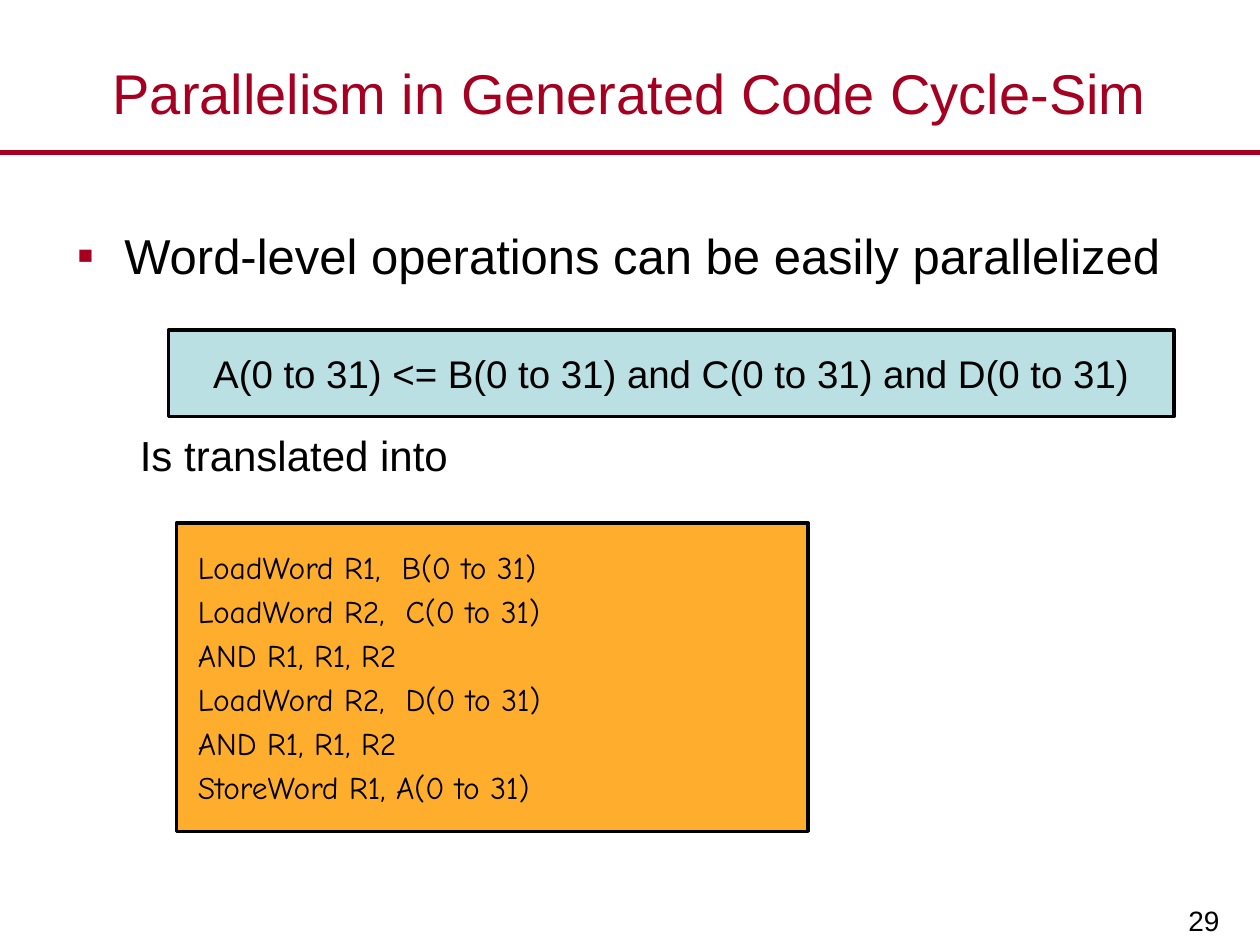
from lxml import etree
from pptx import Presentation
from pptx.dml.color import RGBColor
from pptx.enum.shapes import MSO_CONNECTOR, MSO_SHAPE
from pptx.enum.text import MSO_ANCHOR, PP_ALIGN
from pptx.oxml.ns import qn
from pptx.util import Cm, Pt

RECTANGLE = MSO_SHAPE.RECTANGLE
STRAIGHT = MSO_CONNECTOR.STRAIGHT
TOP, MIDDLE, BOTTOM = MSO_ANCHOR.TOP, MSO_ANCHOR.MIDDLE, MSO_ANCHOR.BOTTOM
LEFT, CENTER, RIGHT = PP_ALIGN.LEFT, PP_ALIGN.CENTER, PP_ALIGN.RIGHT

SLIDE_WIDTH, SLIDE_HEIGHT = 25.4, 19.05
RED, BLACK, BLUE, ORANGE = "A50021", "000000", "BBE0E3", "FFAD2C"

INSTRUCTIONS = [
    "LoadWord R1,  B(0 to 31)",
    "LoadWord R2,  C(0 to 31)",
    "AND R1, R1, R2",
    "LoadWord R2,  D(0 to 31)",
    "AND R1, R1, R2",
    "StoreWord R1, A(0 to 31)",
]


def color(hex_string):
    return RGBColor.from_string(hex_string)


def write(frame, lines, size, font="Arial", ink=BLACK, align=LEFT, anchor=TOP,
          insets=(0, 0, 0, 0), after=0, wrap=True):
    """Fill a text frame, one paragraph a line; insets are left, top, right, bottom in cm."""
    frame.word_wrap = wrap
    frame.vertical_anchor = anchor
    (frame.margin_left, frame.margin_top,
     frame.margin_right, frame.margin_bottom) = map(Cm, insets)
    for index, line in enumerate(lines):
        paragraph = frame.add_paragraph() if index else frame.paragraphs[0]
        paragraph.alignment = align
        paragraph.space_after = Pt(after)
        run = paragraph.add_run()
        run.text = line
        run.font.name = font
        run.font.size = Pt(size)
        run.font.color.rgb = color(ink)


class SlideBuilder:
    def __init__(self, slide, accent=RED, outline=BLACK):
        self.shapes = slide.shapes
        self.accent = accent
        self.outline = outline

    def text(self, place, *lines, **text_format):
        box = self.shapes.add_textbox(*map(Cm, place))
        write(box.text_frame, lines, **text_format)
        return box

    def bullet(self, place, line, indent, **text_format):
        box = self.text(place, line, **text_format)
        properties = box.text_frame.paragraphs[0]._p.get_or_add_pPr()
        properties.set("marL", str(Cm(indent)))
        properties.set("indent", str(-Cm(indent)))
        bullet_color = etree.SubElement(properties, qn("a:buClr"))
        etree.SubElement(bullet_color, qn("a:srgbClr"), val=self.accent)
        etree.SubElement(properties, qn("a:buFont"), typeface="Arial")
        etree.SubElement(properties, qn("a:buChar"), char="▪")

    def panel(self, place, fill, *lines, **text_format):
        box = self.shapes.add_shape(RECTANGLE, *map(Cm, place))
        box.shadow.inherit = False
        box.fill.solid()
        box.fill.fore_color.rgb = color(fill)
        box.line.color.rgb = color(self.outline)
        box.line.width = Pt(2)
        write(box.text_frame, lines, **text_format)

    def rule(self, y):
        line = self.shapes.add_connector(STRAIGHT, 0, Cm(y), Cm(SLIDE_WIDTH), Cm(y))
        line.line.color.rgb = color(self.accent)
        line.line.width = Pt(3)
        etree.SubElement(line._element.spPr, qn("a:effectLst"))


def main():
    presentation = Presentation()
    presentation.slide_width = Cm(SLIDE_WIDTH)
    presentation.slide_height = Cm(SLIDE_HEIGHT)
    builder = SlideBuilder(presentation.slides.add_slide(presentation.slide_layouts[6]))

    builder.rule(3.07)
    builder.text((0, 0.76, SLIDE_WIDTH, 2.18), "Parallelism in Generated Code Cycle-Sim",
                 size=32, ink=RED, align=CENTER, anchor=MIDDLE)
    builder.bullet((1.55, 4.54, 22.4, 1.3), "Word-level operations can be easily parallelized",
                   indent=0.96, size=28)
    builder.panel((3.4, 6.65, 20.27, 1.75), BLUE,
                  "A(0 to 31) <= B(0 to 31) and C(0 to 31) and D(0 to 31)",
                  size=22, align=CENTER, anchor=MIDDLE, wrap=False)
    builder.text((2.82, 8.65, 20, 1.1), "Is translated into", size=24)
    builder.panel((3.56, 10.54, 12.73, 6.22), ORANGE, *INSTRUCTIONS,
                  size=18, font="Comic Neue", anchor=MIDDLE,
                  insets=(0.43, 0, 0, 0), after=3.5)
    builder.text((19.81, 17.6, 5.05, 1.45), "29", size=16, align=RIGHT, anchor=BOTTOM,
                 insets=(0.28, 0.15, 0.28, 0.15))

    presentation.save("out.pptx")


if __name__ == "__main__":
    main()
